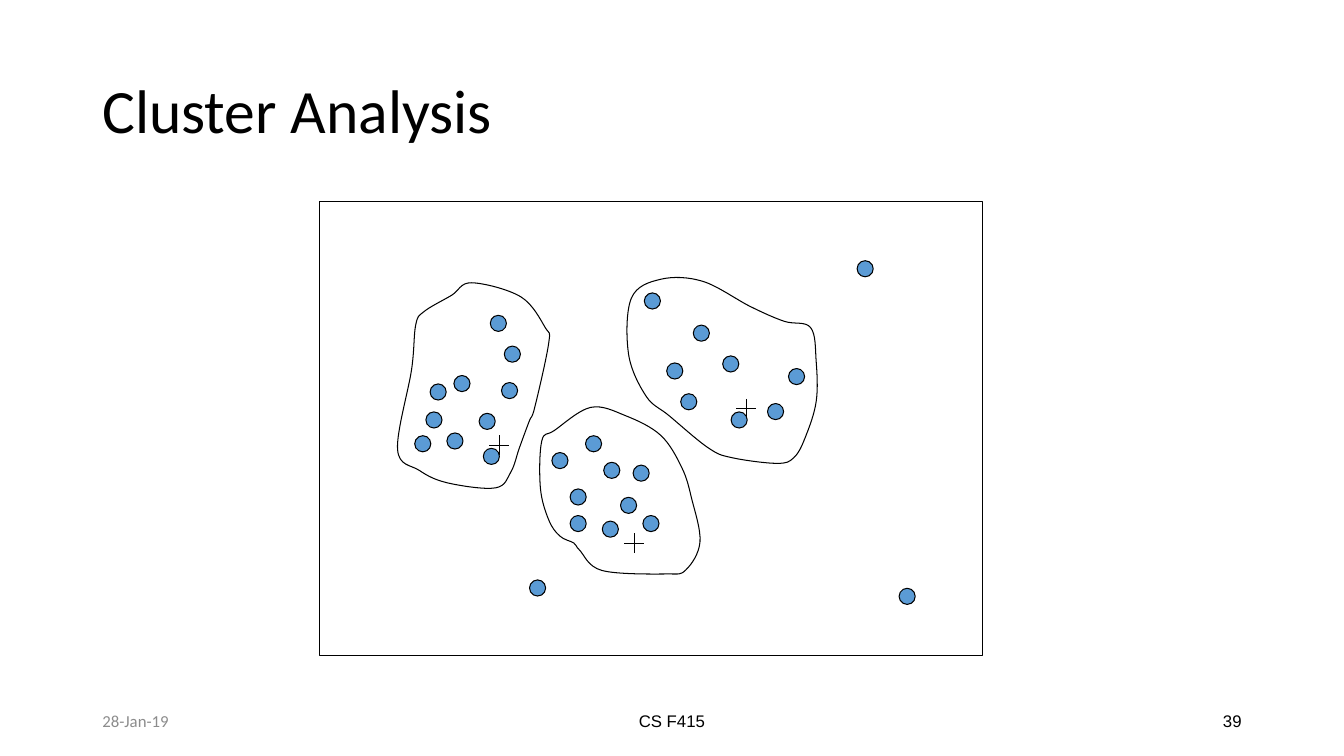
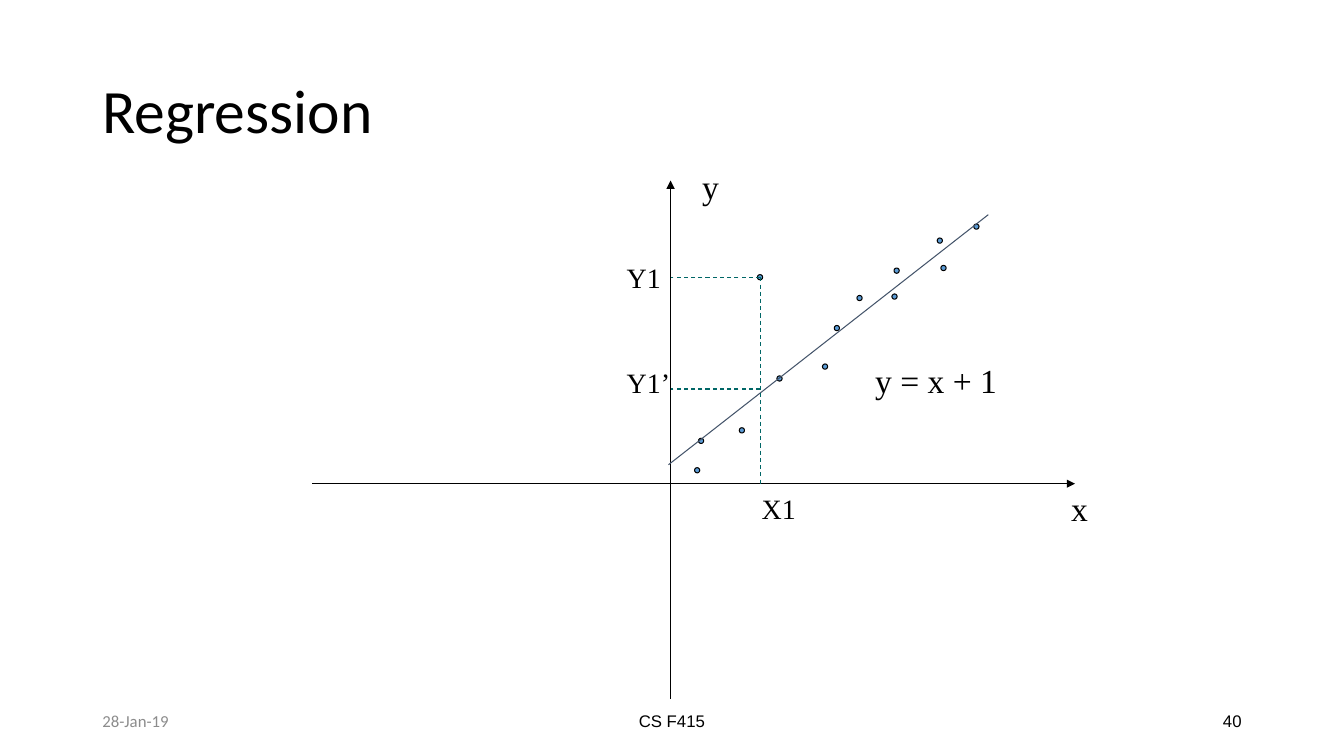
from dataclasses import dataclass
from typing import NamedTuple

from lxml.etree import SubElement
from pptx import Presentation
from pptx.dml.color import RGBColor
from pptx.enum.dml import MSO_LINE
from pptx.enum.shapes import MSO_CONNECTOR, MSO_SHAPE
from pptx.enum.text import MSO_ANCHOR, PP_ALIGN
from pptx.oxml.ns import qn
from pptx.util import Pt

BLACK = "000000"
GREY = "8C8C8C"
BLUE = "5B9BD5"
SLATE = "44546A"
TEAL = "006666"
SERIF = "Times New Roman"
STROKE = 0.75

SLIDE_WIDTH, SLIDE_HEIGHT = 960, 540
MARGIN = 66
FOOTER_TOP, FOOTER_HEIGHT = 500.5, 28.75
SIDE_FOOTER, MIDDLE_FOOTER = 216, 324

CLUSTER_DOT = 11.5
CROSS_ARM = 7
OBSERVATION_DOT = 3.75


class Point(NamedTuple):
    x: float
    y: float

    def shifted(self, dx: float, dy: float) -> "Point":
        return Point(self.x + dx, self.y + dy)


@dataclass
class Label:
    text: str
    corner: Point
    width: float
    height: float
    size: float
    font: str = SERIF
    color: str = BLACK
    align: PP_ALIGN = PP_ALIGN.LEFT
    anchor: MSO_ANCHOR = MSO_ANCHOR.TOP
    wrap: bool = False
    spacing: float = 1.0


@dataclass
class Segment:
    start: Point
    end: Point
    color: str = BLACK
    dashed: bool = False
    arrow: bool = False


@dataclass
class Cluster:
    centroid: Point
    members: list[tuple[float, float]]
    boundary: list[tuple[float, float]]


CLUSTERS = [
    Cluster(
        centroid=Point(356.5, 318),
        members=[(302, 317), (310, 300), (313, 280), (325, 315), (330, 274),
                 (348, 301), (351, 326), (356, 231), (364, 279), (366, 253)],
        boundary=[(378, 301), (371, 320), (365, 337), (354, 348.5), (320, 345),
                  (299.5, 336), (284, 321), (294, 264), (297, 232), (303, 222.5),
                  (322.5, 211), (337, 202), (372, 212), (389.5, 234), (392, 245),
                  (382, 291)],
    ),
    Cluster(
        centroid=Point(453, 388),
        members=[(400, 329), (413, 355), (413, 374), (424, 317), (436, 378),
                 (437, 336), (449, 361), (458, 338), (465, 374)],
        boundary=[(414, 393), (410, 388), (400, 383), (392, 371.5), (386, 348.5),
                  (387, 315), (396, 307.5), (422, 291), (447, 297), (472, 311),
                  (487, 334), (494, 356), (500, 387), (490, 407), (476, 410),
                  (430, 407.5)],
    ),
    Cluster(
        centroid=Point(533, 292),
        members=[(466, 215), (482, 265), (492, 287), (501, 238), (522, 260),
                 (528, 300), (554, 294), (569, 269)],
        boundary=[(579, 234), (583, 258), (583, 287), (575, 313), (567, 327),
                  (555, 331), (523, 327), (506, 320), (478, 297), (461.5, 283),
                  (449, 253), (451, 213), (472, 199.5), (502, 201), (536, 219),
                  (560, 229.5)],
    ),
]
OUTLIERS = [(384, 420), (618, 192), (648, 426)]

ORIGIN = Point(479, 345.5)
X_UNIT, Y_UNIT = 18.8, 14.7
X_AXIS = (-13.62, 15.37)
Y_AXIS = (-10.44, 14.73)
FIT_RANGE = (-0.08, 12.07)
X1, Y1, Y1_PREDICTED = 3.4, 10.03, 4.6
OBSERVATIONS = [
    (1.01, 0.65), (1.16, 2.08), (2.71, 2.59), (X1, Y1), (4.14, 5.11),
    (5.87, 5.69), (6.32, 7.56), (7.18, 9.02), (8.51, 9.09), (8.59, 10.35),
    (10.23, 11.81), (10.37, 10.48), (11.62, 12.49),
]


def rgb(color: str) -> RGBColor:
    return RGBColor.from_string(color)


def plot(x: float, y: float) -> Point:
    return ORIGIN.shifted(x * X_UNIT, -y * Y_UNIT)


def fitted(x: float) -> float:
    return x + 1


def add_label(slide, label: Label) -> None:
    box = slide.shapes.add_textbox(
        Pt(label.corner.x), Pt(label.corner.y), Pt(label.width), Pt(label.height))
    frame = box.text_frame
    frame.word_wrap = label.wrap
    frame.vertical_anchor = label.anchor
    paragraph = frame.paragraphs[0]
    paragraph.text = label.text
    paragraph.alignment = label.align
    paragraph.line_spacing = label.spacing
    paragraph.font.name = label.font
    paragraph.font.size = Pt(label.size)
    paragraph.font.color.rgb = rgb(label.color)


def style_shape(shape, fill: str | None = None) -> None:
    shape.shadow.inherit = False
    if fill:
        shape.fill.solid()
        shape.fill.fore_color.rgb = rgb(fill)
    else:
        shape.fill.background()
    shape.line.color.rgb = rgb(BLACK)
    shape.line.width = Pt(STROKE)


def add_dots(slide, centers: list[tuple[float, float]], diameter: float,
             preset: MSO_SHAPE) -> None:
    radius = diameter / 2
    for x, y in centers:
        dot = slide.shapes.add_shape(
            preset, Pt(x - radius), Pt(y - radius), Pt(diameter), Pt(diameter))
        style_shape(dot, BLUE)


def add_segment(slide, segment: Segment) -> None:
    start, end = segment.start, segment.end
    connector = slide.shapes.add_connector(
        MSO_CONNECTOR.STRAIGHT, Pt(start.x), Pt(start.y), Pt(end.x), Pt(end.y))
    connector.line.color.rgb = rgb(segment.color)
    connector.line.width = Pt(STROKE)
    if segment.dashed:
        connector.line.dash_style = MSO_LINE.DASH
    properties = connector.element.spPr
    if segment.arrow:
        SubElement(properties.find(qn("a:ln")), qn("a:tailEnd"), type="triangle")
    SubElement(properties, qn("a:effectLst"))


def add_cross(slide, center: Point) -> None:
    for dx, dy in [(CROSS_ARM, 0), (0, CROSS_ARM)]:
        add_segment(slide, Segment(center.shifted(-dx, -dy), center.shifted(dx, dy)))


def smooth_curves(boundary: list[tuple[float, float]]) -> list[list[Point]]:
    anchors = [Point(*anchor) for anchor in boundary]
    count = len(anchors)
    curves = []
    for index, start in enumerate(anchors):
        before = anchors[index - 1]
        end = anchors[(index + 1) % count]
        after = anchors[(index + 2) % count]
        leaving = start.shifted((end.x - before.x) / 6, (end.y - before.y) / 6)
        arriving = end.shifted((start.x - after.x) / 6, (start.y - after.y) / 6)
        curves.append([leaving, arriving, end])
    return curves


def add_boundary(slide, boundary: list[tuple[float, float]]) -> None:
    curves = smooth_curves(boundary)
    start_x, start_y = boundary[0]
    builder = slide.shapes.build_freeform(Pt(start_x), Pt(start_y))
    builder.add_line_segments(
        [(Pt(point.x), Pt(point.y)) for curve in curves for point in curve])
    outline = builder.convert_to_shape()
    style_shape(outline)
    contour = next(outline.element.iter(qn("a:path")))
    for closing in contour.findall(qn("a:close")):
        contour.remove(closing)
    steps = iter(contour.findall(qn("a:lnTo")))
    for trio in zip(steps, steps, steps):
        bezier = SubElement(contour, qn("a:cubicBezTo"))
        for step in trio:
            bezier.append(step[0])
            contour.remove(step)
    SubElement(contour, qn("a:close"))


def add_base_slide(presentation, title: str, number: int):
    slide = presentation.slides.add_slide(presentation.slide_layouts[6])
    middle = MSO_ANCHOR.MIDDLE
    add_label(slide, Label(
        title, Point(MARGIN, 28.75), SLIDE_WIDTH - 2 * MARGIN, 104.5, 44,
        "Calibri", anchor=middle, wrap=True, spacing=0.9))
    footers = [
        ("28-Jan-19", MARGIN, SIDE_FOOTER, "Calibri", GREY, PP_ALIGN.LEFT),
        ("CS F415", (SLIDE_WIDTH - MIDDLE_FOOTER) / 2, MIDDLE_FOOTER,
         "Arial", BLACK, PP_ALIGN.CENTER),
        (str(number), SLIDE_WIDTH - MARGIN - SIDE_FOOTER, SIDE_FOOTER,
         "Arial", BLACK, PP_ALIGN.RIGHT),
    ]
    for text, left, width, font, color, align in footers:
        add_label(slide, Label(
            text, Point(left, FOOTER_TOP), width, FOOTER_HEIGHT, 12,
            font, color, align, middle, wrap=True))
    return slide


def add_cluster_slide(presentation) -> None:
    slide = add_base_slide(presentation, "Cluster Analysis", 39)
    frame = slide.shapes.add_shape(
        MSO_SHAPE.RECTANGLE, Pt(228), Pt(144), Pt(474), Pt(324))
    style_shape(frame)
    preset = MSO_SHAPE.FLOWCHART_CONNECTOR
    add_dots(slide, OUTLIERS, CLUSTER_DOT, preset)
    for cluster in CLUSTERS:
        add_cross(slide, cluster.centroid)
        add_dots(slide, cluster.members, CLUSTER_DOT, preset)
        add_boundary(slide, cluster.boundary)


def add_regression_slide(presentation) -> None:
    slide = add_base_slide(presentation, "Regression", 40)
    x_start, x_tip = [plot(x, 0) for x in X_AXIS]
    y_start, y_tip = [plot(0, y) for y in Y_AXIS]
    fit_start, fit_end = [plot(x, fitted(x)) for x in FIT_RANGE]
    x1_foot = plot(X1, 0)
    y1_foot, predicted_foot = plot(0, Y1), plot(0, Y1_PREDICTED)

    add_dots(slide, [plot(x, y) for x, y in OBSERVATIONS],
             OBSERVATION_DOT, MSO_SHAPE.OVAL)
    for segment in [
        Segment(x_start, x_tip, arrow=True),
        Segment(y_start, y_tip, arrow=True),
        Segment(fit_start, fit_end, SLATE),
        Segment(plot(X1, Y1), x1_foot, TEAL, dashed=True),
        Segment(plot(X1, Y1), y1_foot, TEAL, dashed=True),
        Segment(plot(X1, Y1_PREDICTED), predicted_foot, TEAL, dashed=True),
    ]:
        add_segment(slide, segment)
    for label in [
        Label("x", x_tip.shifted(-10, -0.5), 26.5, 36, 24),
        Label("y", y_tip.shifted(15.5, -14), 26.5, 36, 24),
        Label("y = x + 1", Point(618, 253.5), 101.5, 36, 24),
        Label("X1", x1_foot.shifted(-6, 2), 39, 31, 20),
        Label("Y1", y1_foot.shifted(-38.5, -15.5), 39, 31, 20),
        Label("Y1’", predicted_foot.shifted(-38.5, -20.5), 45.5, 31, 20),
    ]:
        add_label(slide, label)


def main() -> None:
    presentation = Presentation()
    presentation.slide_width = Pt(SLIDE_WIDTH)
    presentation.slide_height = Pt(SLIDE_HEIGHT)
    add_cluster_slide(presentation)
    add_regression_slide(presentation)
    presentation.save("out.pptx")


if __name__ == "__main__":
    main()
